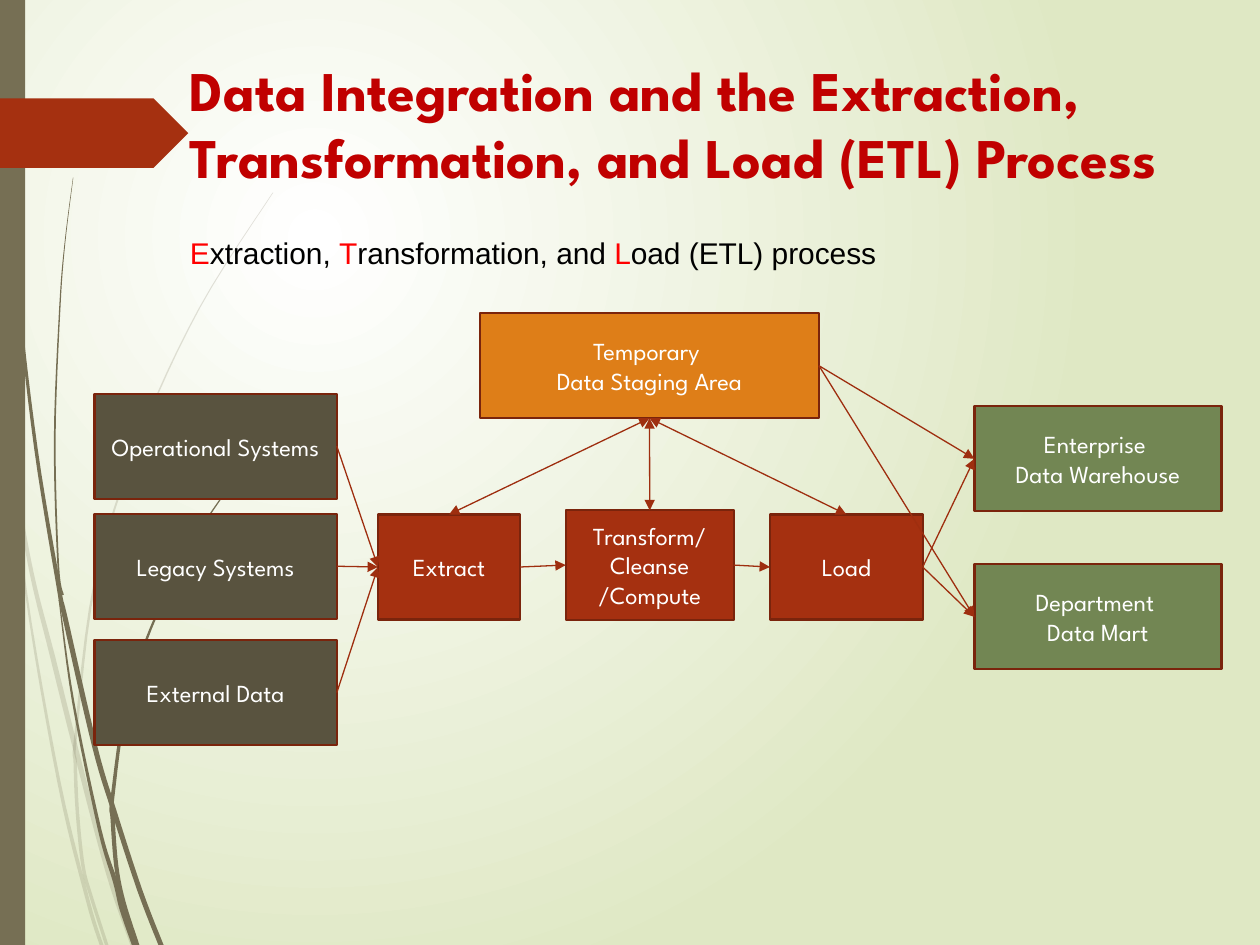
"""Build a slide that shows the ETL process from source systems to data stores."""
from pptx import Presentation
from pptx.dml.color import RGBColor
from pptx.enum.shapes import MSO_CONNECTOR as Connector, MSO_SHAPE as Preset
from pptx.enum.text import MSO_ANCHOR as Anchor, PP_ALIGN as Align
from pptx.oxml.ns import qn
from pptx.util import Pt
from lxml.etree import SubElement

SPARTAN = "League Spartan"
RUST, OLIVE, DARK, GREEN, ORANGE = "A53010", "766F54", "59533F", "728653", "DE7E18"
TOP, LEFT, BOTTOM, RIGHT = range(4)


def color(value):
    return RGBColor.from_string(value)


def add_run(paragraph, text, value, **font_format):
    run = paragraph.add_run()
    run.text = text
    run.font.color.rgb = color(value)
    for name, setting in font_format.items():
        setattr(run.font, name, setting)


presentation = Presentation()
presentation.slide_width, presentation.slide_height = Pt(720), Pt(540)
slide = presentation.slides.add_slide(presentation.slide_layouts[6])
shapes = slide.shapes

background = slide.background.fill
background.gradient()
for stop, value in zip(background.gradient_stops, ("FFFFFF", "DFE8C4")):
    stop.color.rgb = color(value)
gradient = slide.element.find(".//" + qn("a:gradFill"))
gradient.remove(gradient.find(qn("a:lin")))
gradient_path = SubElement(gradient, qn("a:path"), path="circle")
SubElement(gradient_path, qn("a:fillToRect"), l="50000", t="50000", r="100000", b="100000")

wisps = [
    (20, 3, [(0, 209), (5, 249), (8, 270), (18, 327), (30, 375), (43, 427), (62, 499), (76, 540)]),
    (20, 2.2, [(6, 252), (14.8, 338), (33.5, 446), (50, 514), (58, 540)]),
    (20, 2, [(156, 110), (114, 176), (79.5, 251), (54.4, 332), (43.3, 420), (43, 436),
             (44.3, 465), (47.5, 495), (52, 512), (61, 540)]),
    (100, 3, [(1.8, 0), (4, 79), (10.4, 168), (20.5, 256), (33.5, 335), (37, 352), (54, 426),
              (65, 463), (80, 509), (92, 540)]),
    (100, 2.8, [(33.8, 343), (41.8, 401), (56.9, 474), (65.9, 504), (69.8, 520), (76.7, 540)]),
    (100, 2.4, [(155.2, 248), (121.3, 292), (93.6, 342), (73.4, 397), (64.4, 455), (64.4, 468),
                (66.5, 495), (70.5, 515), (78.5, 540)]),
    (100, 1, [(41.8, 101.5), (37.1, 139), (34.2, 176), (31.3, 251), (33.3, 323), (36, 340)]),
]
for opacity, thickness, knots in wisps:
    curve = []
    padded = [knots[0], *knots, knots[-1]]
    for before, start, end, after in zip(padded, padded[1:], padded[2:], padded[3:]):
        for step in range(6):
            t = step / 6
            curve.append([
                b + t / 2 * (c - a + t * (2 * a - 5 * b + 4 * c - d + t * (3 * b - a - 3 * c + d)))
                for a, b, c, d in zip(before, start, end, after)
            ])
    curve.append(knots[-1])
    left_edge, right_edge = [], []
    for index, (x, y) in enumerate(curve):
        half = thickness / 2 * min(1, 0.2 + 1.4 * index / len(curve))
        left_edge.append((Pt(x - half), Pt(y)))
        right_edge.append((Pt(x + half), Pt(y)))
    builder = shapes.build_freeform(*left_edge[0], scale=1.0)
    builder.add_line_segments(left_edge[1:] + right_edge[::-1], close=True)
    wisp = builder.convert_to_shape()
    wisp.shadow.inherit = False
    wisp.fill.solid()
    wisp.fill.fore_color.rgb = color(OLIVE)
    wisp.line.fill.background()
    fill_color = wisp.element.spPr.find(".//" + qn("a:srgbClr"))
    SubElement(fill_color, qn("a:alpha"), val=str(opacity * 1000))

for preset, value, bounds in [
    (Preset.RECTANGLE, OLIVE, (0, 0, 14.4, 540)),
    (Preset.PENTAGON, RUST, (0, 56.2, 107.6, 39.8)),
]:
    shape = shapes.add_shape(preset, *map(Pt, bounds))
    shape.shadow.inherit = False
    shape.fill.solid()
    shape.fill.fore_color.rgb = color(value)
    shape.line.fill.background()

heading = "Data Integration and the Extraction, Transformation, and Load (ETL) Process"
subtitle = [
    ("E", "FF0000"), ("xtraction, ", "000000"), ("T", "FF0000"),
    ("ransformation, and ", "000000"), ("L", "FF0000"), ("oad (ETL) process", "000000"),
]
for top, height, runs, font_format in [
    (130.6, 42, subtitle, {"name": "Arial", "size": Pt(17.1)}),
    (28, 99.4, [(heading, "C00000")], {"name": SPARTAN, "size": Pt(32), "bold": True}),
]:
    frame = shapes.add_textbox(Pt(101.5), Pt(top), Pt(612), Pt(height)).text_frame
    frame.word_wrap = True
    for text, value in runs:
        add_run(frame.paragraphs[0], text, value, **font_format)

boxes = {}
for name, value, bounds, lines in [
    ("operational", DARK, (54, 225, 138.5, 60), ["Operational Systems"]),
    ("legacy", DARK, (54, 293.6, 138.5, 60), ["Legacy Systems"]),
    ("external", DARK, (54, 365.8, 138.5, 60), ["External Data"]),
    ("extract", RUST, (216, 294, 81.2, 60), ["Extract"]),
    ("transform", RUST, (323.3, 291.6, 96, 62.6), ["Transform/Cleanse /Compute"]),
    ("staging", ORANGE, (274.3, 179, 193.7, 60), ["Temporary ", "Data Staging Area"]),
    ("load", RUST, (440, 294, 87.3, 60), ["Load"]),
    ("warehouse", GREEN, (556.8, 232.2, 141.2, 60), ["Enterprise ", "Data Warehouse"]),
    ("mart", GREEN, (556.8, 322.5, 141.2, 60), ["Department ", "Data Mart"]),
]:
    box = boxes[name] = shapes.add_shape(Preset.RECTANGLE, *map(Pt, bounds))
    box.shadow.inherit = False
    box.fill.solid()
    box.fill.fore_color.rgb = color(value)
    box.line.color.rgb = color("7A240C")
    box.line.width = Pt(1.25)
    frame = box.text_frame
    frame.word_wrap = True
    frame.vertical_anchor = Anchor.MIDDLE
    for index, text in enumerate(lines):
        paragraph = frame.add_paragraph() if index else frame.paragraphs[0]
        paragraph.alignment = Align.CENTER
        add_run(paragraph, text, "FFFFFF", name=SPARTAN, size=Pt(14))

one_way, two_way = ("tailEnd",), ("headEnd", "tailEnd")
for source, source_side, target, target_side, arrowheads in [
    ("operational", RIGHT, "extract", LEFT, one_way),
    ("legacy", RIGHT, "extract", LEFT, one_way),
    ("external", RIGHT, "extract", LEFT, one_way),
    ("extract", RIGHT, "transform", LEFT, one_way),
    ("transform", RIGHT, "load", LEFT, one_way),
    ("load", RIGHT, "mart", LEFT, one_way),
    ("load", RIGHT, "warehouse", LEFT, one_way),
    ("extract", TOP, "staging", BOTTOM, two_way),
    ("transform", TOP, "staging", BOTTOM, two_way),
    ("load", TOP, "staging", BOTTOM, two_way),
    ("staging", RIGHT, "warehouse", LEFT, one_way),
    ("staging", RIGHT, "mart", LEFT, one_way),
]:
    connector = shapes.add_connector(Connector.STRAIGHT, 0, 0, 0, 0)
    connector.begin_connect(boxes[source], source_side)
    connector.end_connect(boxes[target], target_side)
    connector.line.color.rgb = color("9E2E0F")
    connector.line.width = Pt(0.75)
    for end in arrowheads:
        SubElement(connector.line._get_or_add_ln(), qn("a:" + end), type="triangle")
    SubElement(connector.element.spPr, qn("a:effectLst"))

presentation.save("out.pptx")
